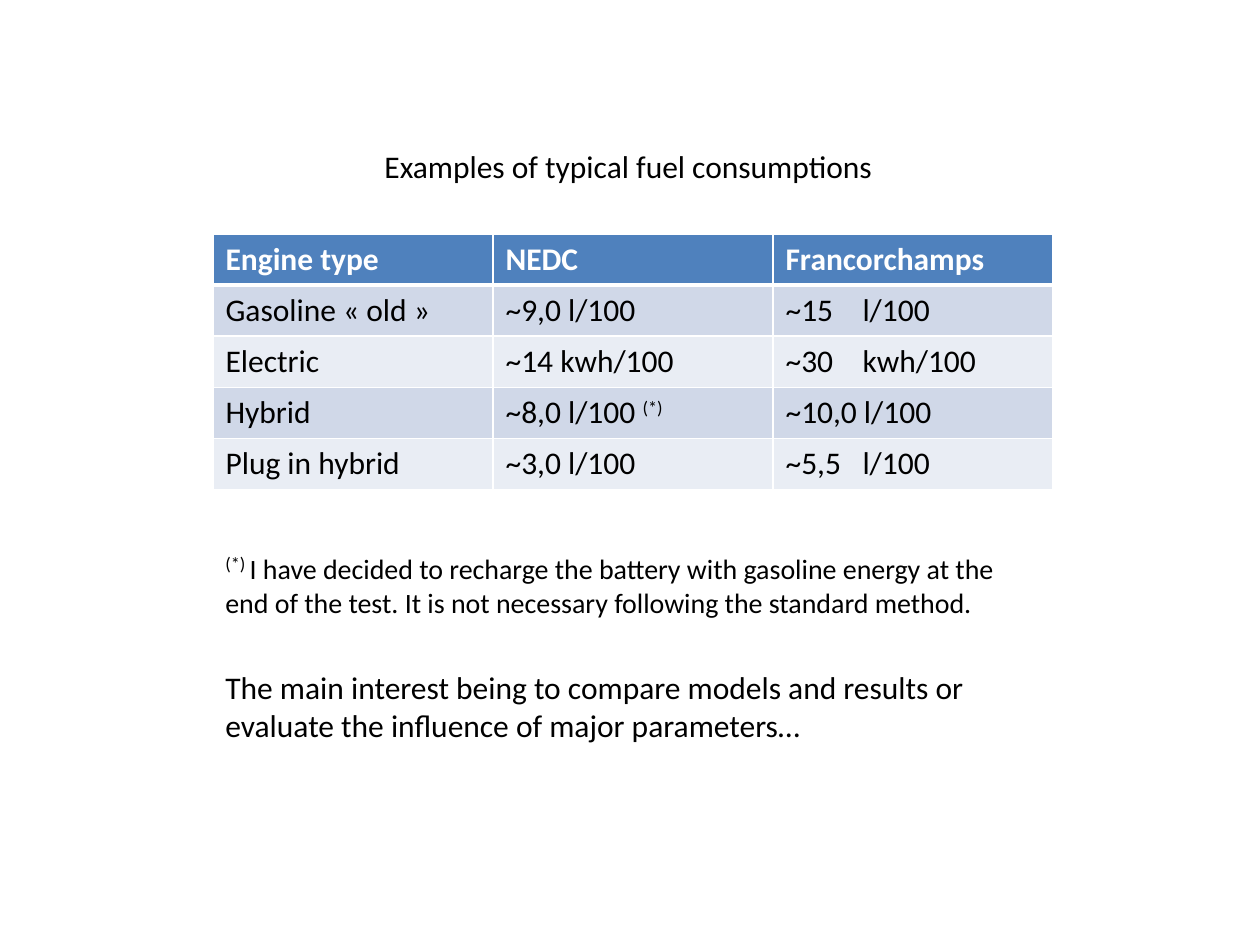
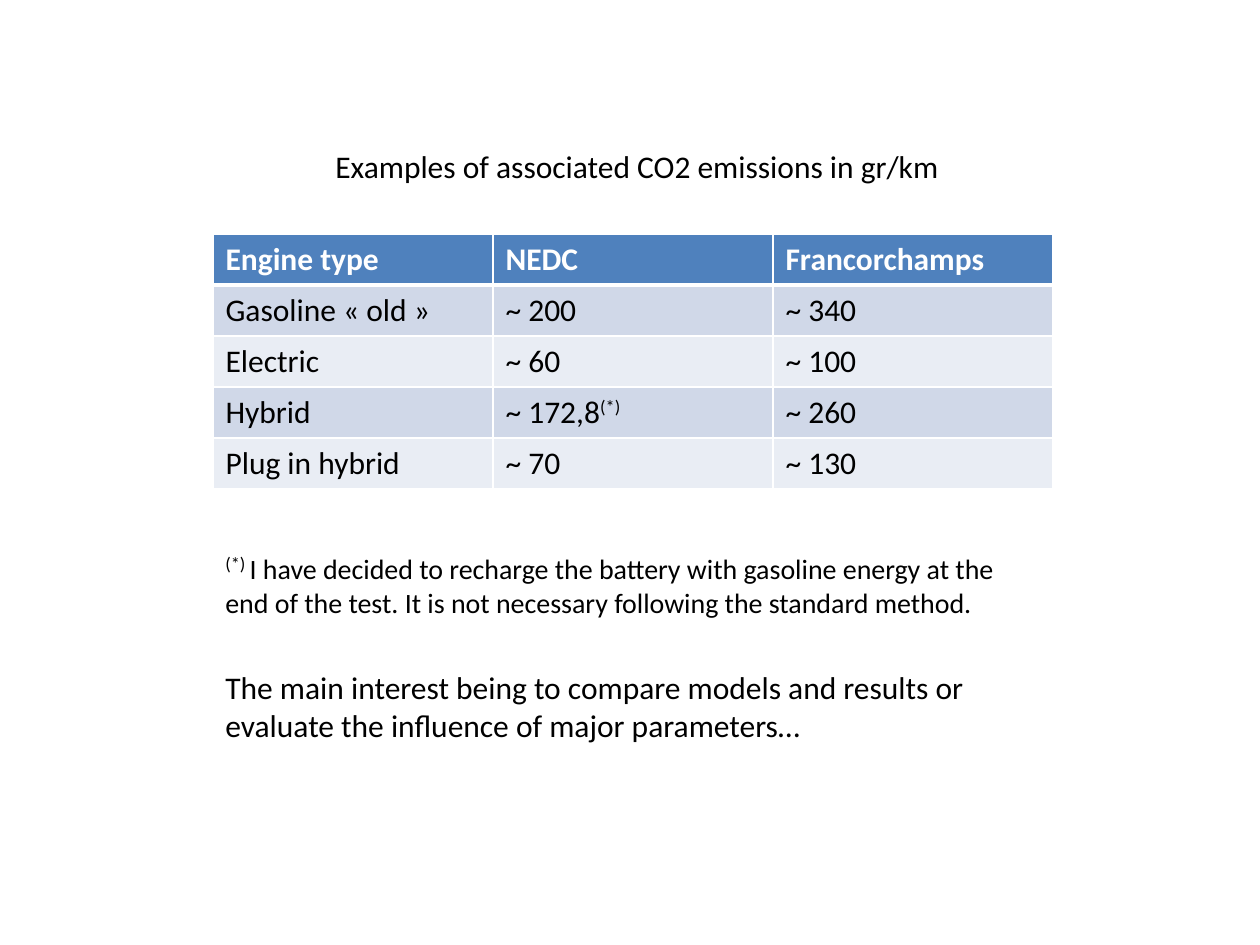
from lxml.etree import SubElement
from pptx import Presentation
from pptx.dml.color import RGBColor
from pptx.enum.text import MSO_AUTO_SIZE
from pptx.oxml.ns import qn
from pptx.util import Emu, Pt

FONT = "Calibri"
BLACK, WHITE = "000000", "FFFFFF"
HEADER_FILL = "4F81BD"
BAND_FILLS = ("D0D8E8", "E9EDF4")
LEFT, TABLE_TOP, COL_W, ROW_H = 213, 234, 280, 51
UNIT_TAB = 77
MARK = "(*)"

HEADERS = ("Engine type", "NEDC", "Francorchamps")
ENGINES = ("Gasoline « old »", "Electric", "Hybrid", "Plug in hybrid")
FOOTNOTE = ("I have decided to recharge the battery with gasoline energy at the "
            "end of the test. It is not necessary following the standard method.")
CONCLUSION = ("The main interest being to compare models and results or "
              "evaluate the influence of major parameters…")

FUEL = (
    ("~9,0 l/100", "~15\tl/100"),
    ("~14 kwh/100", "~30\tkwh/100"),
    ("~8,0 l/100 (*)", "~10,0 l/100"),
    ("~3,0 l/100", "~5,5\tl/100"),
)
EMISSIONS = (
    ("~ 200", "~ 340"),
    ("~ 60", "~ 100"),
    ("~ 172,8(*)", "~ 260"),
    ("~ 70", "~ 130"),
)


def px(n):
    """Turn px into EMU."""
    return Emu(round(n * 914400 / 126))


def rgb(value):
    """Turn a hex string into a colour."""
    return RGBColor.from_string(value)


def add_run(p, text, size=18, color=BLACK, bold=False, raised=False):
    """Add one formatted run to a paragraph."""
    r = p.add_run()
    r.text = text
    r.font.name = FONT
    r.font.size = Pt(size)
    r.font.bold = bold
    r.font.color.rgb = rgb(color)
    if raised:
        r._r.get_or_add_rPr().set("baseline", "30000")


def add_text(s, x, y, w, h):
    """Add a wrapping text box and return its first paragraph."""
    tf = s.shapes.add_textbox(px(x), px(y), px(w), px(h)).text_frame
    tf.word_wrap = True
    tf.auto_size = MSO_AUTO_SIZE.SHAPE_TO_FIT_TEXT
    return tf.paragraphs[0]


def add_tab(p, position):
    """Give a paragraph one left tab stop."""
    tabs = SubElement(p._p.get_or_add_pPr(), qn("a:tabLst"))
    SubElement(tabs, qn("a:tab"), pos=str(px(position)), algn="l")


def set_borders(cell, top, bottom):
    """Draw white cell borders with the given top and bottom widths."""
    tcPr = cell._tc.get_or_add_tcPr()
    for side, width in (("L", 1), ("R", 1), ("T", top), ("B", bottom)):
        ln = SubElement(tcPr, qn(f"a:ln{side}"), w=str(Pt(width)))
        fill = SubElement(ln, qn("a:solidFill"))
        SubElement(fill, qn("a:srgbClr"), val=WHITE)


def fill_cell(cell, text, row):
    """Format one cell and write its text, raising the footnote mark."""
    is_header = row == 0
    set_borders(cell, 3 if row == 1 else 1, 3 if is_header else 1)
    cell.fill.solid()
    cell.fill.fore_color.rgb = rgb(HEADER_FILL if is_header else BAND_FILLS[(row - 1) % 2])
    p = cell.text_frame.paragraphs[0]
    if "\t" in text:
        add_tab(p, UNIT_TAB)
    value, mark, _ = text.partition(MARK)
    add_run(p, value, color=WHITE if is_header else BLACK, bold=is_header)
    if mark:
        add_run(p, mark, raised=True)


def add_engine_table(s, results):
    """Add the table comparing engine types in both test cycles."""
    rows = [HEADERS] + [(engine, *pair) for engine, pair in zip(ENGINES, results)]
    table = s.shapes.add_table(len(rows), len(HEADERS), px(LEFT), px(TABLE_TOP),
                               px(COL_W * len(HEADERS)), px(ROW_H * len(rows))).table
    for i, texts in enumerate(rows):
        for j, text in enumerate(texts):
            fill_cell(table.cell(i, j), text, i)


def add_results_slide(prs, title, title_x, title_w, results):
    """Add a slide with a title, a results table and the shared remarks."""
    s = prs.slides.add_slide(prs.slide_layouts[6])
    add_engine_table(s, results)
    add_run(add_text(s, title_x, 141, title_w, 50), title)
    add_run(add_text(s, LEFT, 662, 843, 89), CONCLUSION)
    p = add_text(s, LEFT, 542, 843, 84)
    add_run(p, MARK + " ", raised=True)
    add_run(p, FOOTNOTE, size=16)


def main():
    """Build and save the presentation."""
    prs = Presentation()
    prs.slide_width, prs.slide_height = px(1260), px(945)
    add_results_slide(prs, "Examples of typical fuel consumptions", 372, 535, FUEL)
    add_results_slide(prs, "Examples of associated CO2 emissions in gr/km", 323, 655, EMISSIONS)
    prs.save("out.pptx")


if __name__ == "__main__":
    main()
